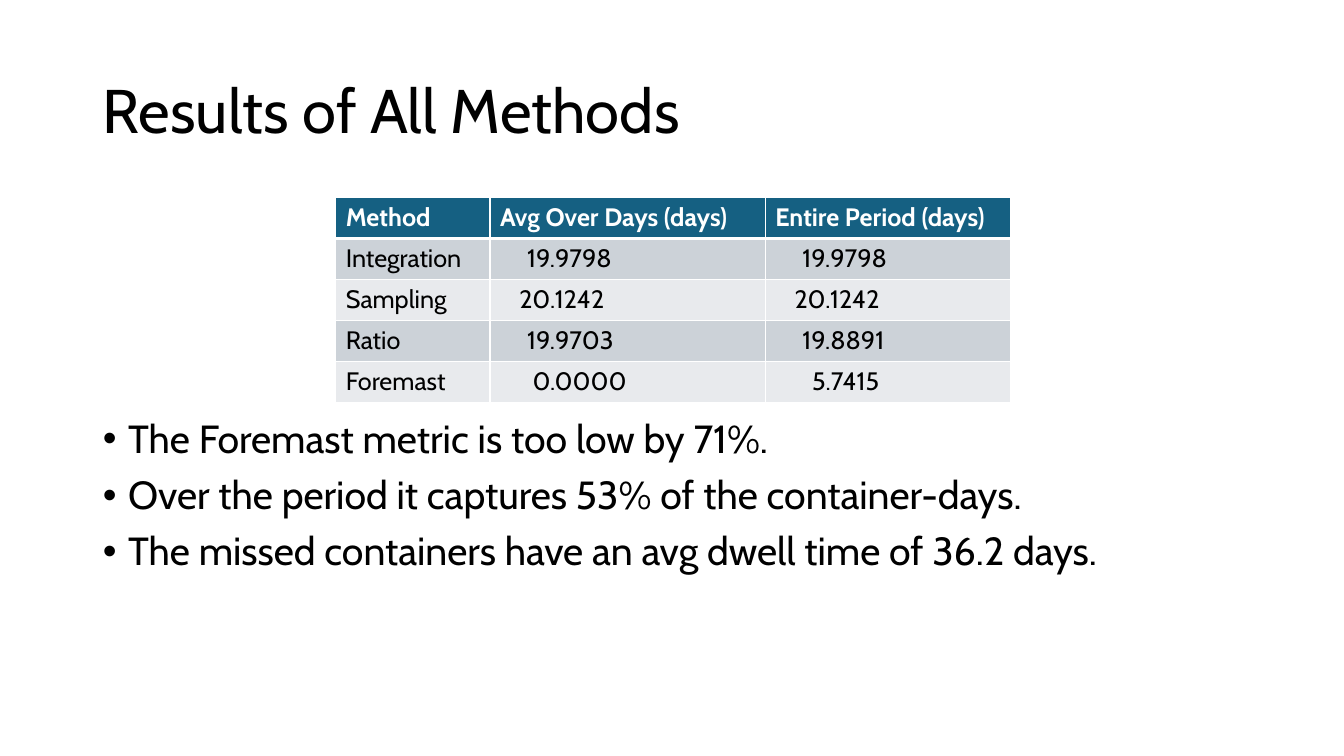
"""Builds a slide with a table of dwell time results and three findings."""
import dataclasses

import lxml.etree
import pptx
import pptx.dml.color
import pptx.enum.text
import pptx.oxml.ns
import pptx.util

Inches = pptx.util.Inches


@dataclasses.dataclass(frozen=True)
class Theme:
    font: str = "Cabin"
    text: str = "000000"
    light: str = "FFFFFF"
    header: str = "156082"
    bands: tuple = ("CCD2D8", "E8EAED")
    title_size: int = 44
    body_size: int = 28
    table_size: int = 18
    thin_border: int = 1
    thick_border: int = 3


class SlideBuilder:
    def __init__(self, slide, theme):
        self.slide = slide
        self.theme = theme

    def place(self, shape, left, top, width, height):
        shape.left, shape.top = Inches(left), Inches(top)
        shape.width, shape.height = Inches(width), Inches(height)

    def format_runs(self, paragraph, size, color, bold=False):
        for run in paragraph.runs:
            run.font.name = self.theme.font
            run.font.size = pptx.util.Pt(size)
            run.font.bold = bold
            run.font.color.rgb = pptx.dml.color.RGBColor.from_string(color)

    def add_child(self, parent, tag, **attributes):
        return lxml.etree.SubElement(parent, pptx.oxml.ns.qn(tag), attributes)

    def title(self, text, *box):
        shape = self.slide.shapes.title
        self.place(shape, *box)
        frame = shape.text_frame
        frame.text = text
        frame.auto_size = pptx.enum.text.MSO_AUTO_SIZE.NONE
        frame.vertical_anchor = pptx.enum.text.MSO_ANCHOR.MIDDLE
        paragraph = frame.paragraphs[0]
        paragraph.alignment = pptx.enum.text.PP_ALIGN.LEFT
        paragraph.line_spacing = 0.9
        self.format_runs(paragraph, self.theme.title_size, self.theme.text)

    def bullets(self, items, *box):
        shape = self.slide.placeholders[1]
        self.place(shape, *box)
        frame = shape.text_frame
        frame.text = "\n".join(items)
        frame.auto_size = pptx.enum.text.MSO_AUTO_SIZE.NONE
        indent = Inches(0.25)
        for paragraph in frame.paragraphs:
            paragraph.line_spacing = 0.9
            paragraph.space_before = pptx.util.Pt(10)
            properties = paragraph._p.get_or_add_pPr()
            properties.set("marL", str(indent))
            properties.set("indent", str(-indent))
            self.add_child(properties, "a:buFont", typeface="Arial")
            self.add_child(properties, "a:buChar", char="•")
            self.format_runs(paragraph, self.theme.body_size, self.theme.text)

    def borders(self, cell, top, bottom):
        properties = cell._tc.get_or_add_tcPr()
        thin = self.theme.thin_border
        sides = {"a:lnL": thin, "a:lnR": thin, "a:lnT": top, "a:lnB": bottom}
        for position, (tag, width) in enumerate(sides.items()):
            line = self.add_child(properties, tag, w=str(pptx.util.Pt(width)))
            fill = self.add_child(line, "a:solidFill")
            self.add_child(fill, "a:srgbClr", val=self.theme.light)
            properties.insert(position, line)

    def cell(self, cell, text, row, decimal):
        theme = self.theme
        is_header = row == 0
        cell.text = f"\t{text}" if decimal else text
        paragraph = cell.text_frame.paragraphs[0]
        if decimal:
            tabs = self.add_child(paragraph._p.get_or_add_pPr(), "a:tabLst")
            self.add_child(tabs, "a:tab", pos=str(Inches(0.5)), algn="dec")
        color = theme.light if is_header else theme.text
        self.format_runs(paragraph, theme.table_size, color, is_header)
        fill = theme.header if is_header else theme.bands[(row - 1) % 2]
        cell.fill.solid()
        cell.fill.fore_color.rgb = pptx.dml.color.RGBColor.from_string(fill)
        top = theme.thick_border if row == 1 else theme.thin_border
        bottom = theme.thick_border if is_header else theme.thin_border
        self.borders(cell, top, bottom)

    def table(self, rows, column_widths, left, top, height):
        frame = self.slide.shapes.add_table(
            len(rows), len(column_widths), Inches(left), Inches(top),
            Inches(sum(column_widths)), Inches(height))
        table = frame.table
        for column, width in zip(table.columns, column_widths):
            column.width = Inches(width)
        for row, values in enumerate(rows):
            for column, text in enumerate(values):
                self.cell(table.cell(row, column), text, row, row > 0 and column > 0)


def main():
    presentation = pptx.Presentation()
    presentation.slide_width = Inches(13.33)
    presentation.slide_height = Inches(7.5)
    slide = presentation.slides.add_slide(presentation.slide_layouts[1])
    builder = SlideBuilder(slide, Theme())

    builder.title("Results of All Methods", 0.92, 0.4, 11.5, 1.45)
    results = [
        ("Method", "Avg Over Days (days)", "Entire Period (days)"),
        ("Integration", "19.9798", "19.9798"),
        ("Sampling", "20.1242", "20.1242"),
        ("Ratio", "19.9703", "19.8891"),
        ("Foremast", "0.0000", "5.7415"),
    ]
    builder.table(results, (1.53, 2.73, 2.43), 3.33, 1.96, 2.03)
    findings = [
        "The Foremast metric is too low by 71%.",
        "Over the period it captures 53% of the container-days.",
        "The missed containers have an avg dwell time of 36.2 days.",
    ]
    builder.bullets(findings, 0.92, 4.11, 11.5, 2.65)
    presentation.save("out.pptx")


if __name__ == "__main__":
    main()
